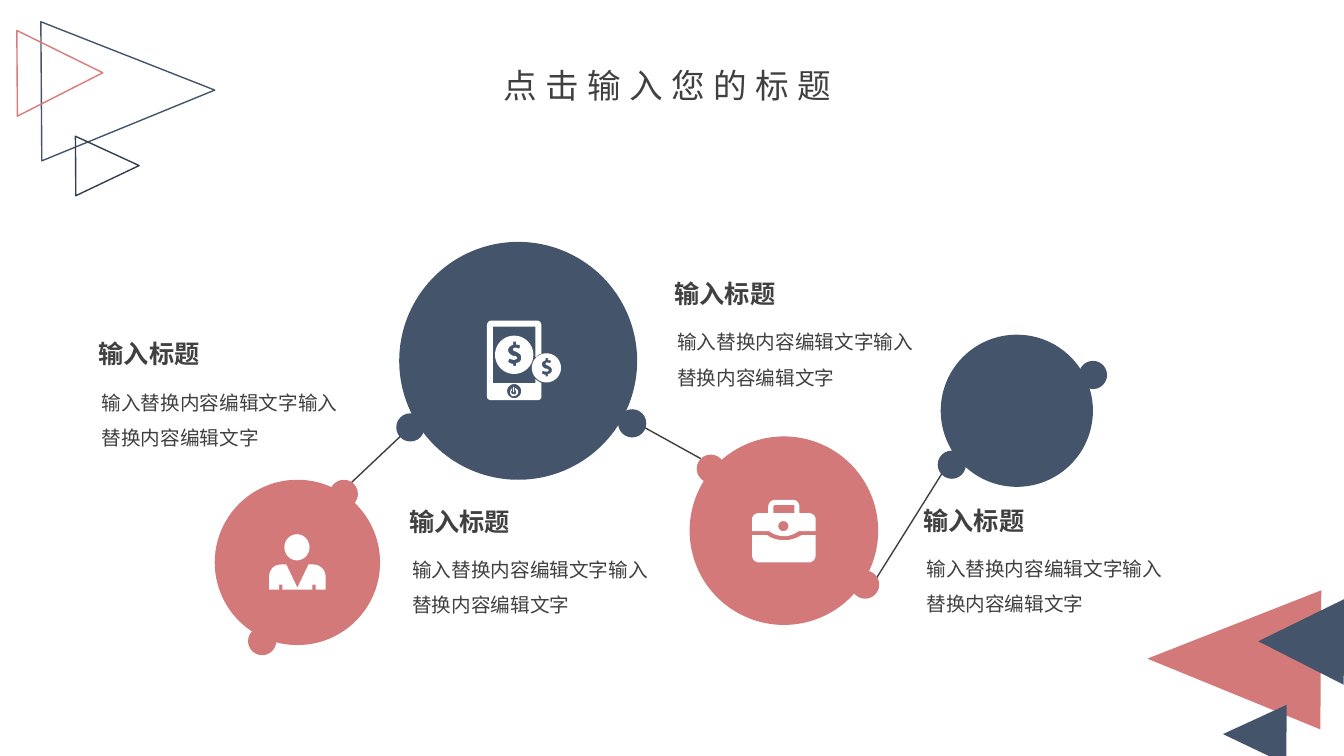
import math
import typing
import pptx
import pptx.dml.color
import pptx.enum.shapes
import pptx.enum.text
import pptx.oxml
import pptx.oxml.ns
import pptx.util

Inches = pptx.util.Inches
Kind = pptx.enum.shapes.MSO_SHAPE
Align = pptx.enum.text.PP_ALIGN
Anchor = pptx.enum.text.MSO_ANCHOR
Point = tuple[float, float]
NAVY, ROSE, WHITE, GREY = "44546A", "D37979", "FFFFFF", "404040"
BODY = "输入替换内容编辑文字输入替换内容编辑文字"


class Mark(typing.NamedTuple):
    left: float
    top: float
    width: float
    height: float
    turn: float
    fill: str | None = None
    line: str | None = None


class Disc(typing.NamedTuple):
    left: float
    top: float
    size: float
    fill: str


class Link(typing.NamedTuple):
    start: Point
    end: Point


class Note(typing.NamedTuple):
    left: float
    top: float


MARKS = [
    Mark(11.55, 5.68, 1.38, 1.72, 270.4, fill=ROSE),
    Mark(12.15, 6.97, 0.59, 0.63, 270.4, fill=NAVY),
    Mark(12.48, 5.94, 0.85, 0.85, 270.4, fill=NAVY),
    Mark(0.58, 0.04, 1.38, 1.72, 89.6, line=NAVY),
    Mark(0.77, 1.33, 0.59, 0.63, 89.6, line="333F50"),
    Mark(0.17, 0.3, 0.85, 0.85, 89.6, line="DD7979"),
]
LINKS = [
    Link((3.97, 4.33), (3.43, 4.84)),
    Link((6.3, 4.19), (6.95, 4.55)),
    Link((8.59, 5.9), (9.36, 4.67)),
]
DISCS = [
    Disc(3.96, 2.4, 2.36, NAVY),
    Disc(9.33, 3.32, 1.51, NAVY),
    Disc(3.27, 4.76, 0.28, ROSE),
    Disc(2.46, 6.22, 0.28, ROSE),
    Disc(3.93, 4.1, 0.28, NAVY),
    Disc(6.13, 4.06, 0.28, NAVY),
    Disc(6.91, 4.51, 0.28, ROSE),
    Disc(8.44, 5.66, 0.28, ROSE),
    Disc(9.3, 4.47, 0.28, NAVY),
    Disc(10.7, 3.58, 0.28, NAVY),
    Disc(6.84, 4.33, 1.87, ROSE),
    Disc(2.13, 4.76, 1.64, ROSE),
]
NOTES = [Note(0.88, 3.31), Note(3.96, 4.97), Note(6.59, 2.71), Note(9.06, 4.96)]

POUCH = ("778,536/771,536/765,534/761,531 746,531 746,551/746,555/749,558/753,558 "
         "802,558/806,558/809,555/809,551 809,531 795,531/790,534/784,536/778,536")
FLAP = ("802,509 793,509 793,503/793,499/790,496/787,496 769,496/765,496/762,499/762,503 "
        "762,509 753,509/749,509/746,512/746,515 746,527 763,527/767,530/772,532/778,532/"
        "783,532/788,530/792,527 809,527 809,515/809,512/806,509/802,509")
GRIP = "767,509 767,503/767,502/768,501/769,501 787,501/788,501/788,502/788,503 788,509"
POWER = ("511,385 511,387/512,387/512,388/512,389/512,391/511,392/509,391/508,391/507,390/"
         "507,389/507,388/507,388/508,387 508,385/507,386/506,388/506,389/506,391/507,393/"
         "509,393/512,393/514,391/514,389/514,387/513,386/511,385")
PHONE = ("531,380 489,380 489,324 531,324 531,354 532,354/534,352/535,351/537,351 "
         "537,323/537,320/535,318/533,318 488,318/485,318/483,320/483,323 "
         "483,393/483,396/485,397/488,397 533,397/535,397/537,396/537,393 "
         "537,380/535,379/533,378/531,376")
DOLLAR = ("512,360 512,363 509,363 509,361/507,361/505,360/504,359 505,356/506,356/508,357/"
          "510,357/511,357/513,356/513,355/513,354/511,353/509,353/506,352/504,350/504,347/"
          "504,345/506,343/509,342 509,339 512,339 512,342/514,342/515,342/516,343 "
          "515,346/515,346/513,345/511,345/509,345/509,346/509,347/509,348/510,348/512,349/"
          "516,351/517,352/517,355/517,358/515,360/512,360")
BUST = ("277,585 277,580 280,580 280,585 310,585 310,580 313,580 313,585 323,585 "
        "323,572/323,565/317,560/311,560 306,560 295,583 284,560 279,560/272,560/267,565/267,572 "
        "267,585")


def tint(code: str) -> pptx.dml.color.RGBColor:
    return pptx.dml.color.RGBColor.from_string(code)


def trace(text: str) -> list[Point]:
    points: list[Point] = []
    for word in text.split():
        knots = [(float(x) / 100, float(y) / 100)
                 for x, y in (pair.split(",") for pair in word.split("/"))]
        points.append(knots[0])
        for at in range(0, len(knots) - 1, 3):
            a, b, c, d = knots[at:at + 4]
            for step in range(1, 9):
                t = step / 8
                u = 1 - t
                points.append(tuple(u**3 * a[i] + 3 * u * u * t * b[i] + 3 * u * t * t * c[i]
                                    + t**3 * d[i] for i in (0, 1)))
    return points


def ring(x: float, y: float, size: float) -> list[Point]:
    turns = [math.tau * i / 48 for i in range(48)]
    return [(x + size * math.cos(t), y + size * math.sin(t)) for t in turns]


def paint(shape, fill: str | None = None, line: str | None = None) -> None:
    shape.shadow.inherit = False
    if fill:
        shape.fill.solid()
        shape.fill.fore_color.rgb = tint(fill)
    else:
        shape.fill.background()
    if line:
        shape.line.color.rgb = tint(line)
        shape.line.width = pptx.util.Pt(1)
    else:
        shape.line.fill.background()


def form(shapes, kind, left: float, top: float, width: float, height: float,
         fill: str | None = None, line: str | None = None, turn: float = 0) -> None:
    shape = shapes.add_shape(kind, Inches(left), Inches(top), Inches(width), Inches(height))
    shape.rotation = turn
    paint(shape, fill, line)


def carve(shapes, *loops: list[Point]) -> None:
    rows = [[(Inches(x), Inches(y)) for x, y in loop] for loop in loops]
    pen = shapes.build_freeform(*rows[0][0])
    for i, row in enumerate(rows):
        if i:
            pen.move_to(*row[0])
        pen.add_line_segments(row[1:], close=True)
    paint(pen.convert_to_shape(), WHITE)


def join(shapes, link: Link) -> None:
    ends = [Inches(v) for v in link.start + link.end]
    line = shapes.add_connector(pptx.enum.shapes.MSO_CONNECTOR.STRAIGHT, *ends)
    line.line.color.rgb = tint("3F3F3F")
    line.line.width = pptx.util.Pt(1)
    line._element.spPr.append(pptx.oxml.parse_xml(
        f"<a:effectLst {pptx.oxml.ns.nsdecls('a')}/>"))


def write(shapes, text: str, left: float, top: float, width: float, height: float, *,
          size: float, bold: bool = False, wrap: bool = True, lead: float | None = None,
          align=Align.LEFT, mid: bool = False, gap: int = 0) -> None:
    box = shapes.add_textbox(Inches(left), Inches(top), Inches(width), Inches(height))
    frame = box.text_frame
    frame.word_wrap = wrap
    frame.auto_size = pptx.enum.text.MSO_AUTO_SIZE.SHAPE_TO_FIT_TEXT
    if mid:
        frame.vertical_anchor = Anchor.MIDDLE
        frame.margin_left = frame.margin_right = frame.margin_top = frame.margin_bottom = 0
    para = frame.paragraphs[0]
    para.alignment = align
    if lead:
        para.line_spacing = lead
    run = para.add_run()
    run.text = text
    run.font.size = pptx.util.Pt(size)
    run.font.bold = bold
    run.font.color.rgb = tint(GREY)
    run.font.name = "Noto Sans CJK SC"
    props = run._r.get_or_add_rPr()
    props.append(pptx.oxml.parse_xml(
        f"<a:ea {pptx.oxml.ns.nsdecls('a')} typeface='Noto Sans CJK SC'/>"))
    if gap:
        props.set("spc", str(gap * 100))


def main() -> None:
    deck = pptx.Presentation()
    deck.slide_width, deck.slide_height = Inches(13.33), Inches(7.5)
    shapes = deck.slides.add_slide(deck.slide_layouts[6]).shapes
    for m in MARKS:
        form(shapes, Kind.ISOSCELES_TRIANGLE, m.left, m.top, m.width, m.height,
             m.fill, m.line, m.turn)
    for link in LINKS:
        join(shapes, link)
    for disc in DISCS:
        form(shapes, Kind.OVAL, disc.left, disc.top, disc.size, disc.size, disc.fill)

    case = shapes.add_group_shape().shapes
    carve(case, trace(POUCH))
    carve(case, trace(FLAP), trace(GRIP), ring(7.77, 5.22, 0.05))
    phone = shapes.add_group_shape().shapes
    carve(phone, trace(POWER))
    form(phone, Kind.RECTANGLE, 5.09, 3.84, 0.01, 0.05, WHITE)
    carve(phone, trace(PHONE), ring(5.1, 3.88, 0.07))
    for x, y, zoom in ((5.1, 3.52, 1), (5.42, 3.65, 0.76)):
        sign = [(x + (a - 5.1) * zoom, y + (b - 3.52) * zoom) for a, b in trace(DOLLAR)]
        carve(phone, ring(x, y, 0.19 * zoom), sign)
    user = shapes.add_group_shape().shapes
    form(user, Kind.OVAL, 2.82, 5.3, 0.25, 0.26, WHITE)
    carve(user, trace(BUST))

    for note in NOTES:
        write(shapes, BODY, note.left + 0.03, note.top + 0.4, 2.54, 0.77, size=14, lead=1.5)
        write(shapes, "输入标题", note.left, note.top, 1.21, 0.4, size=18, bold=True, wrap=False)
    write(shapes, "点击输入您的标题", 4.57, 0.64, 4.09, 0.4, size=24,
          align=Align.CENTER, mid=True, gap=6)
    deck.save("out.pptx")


if __name__ == "__main__":
    main()
